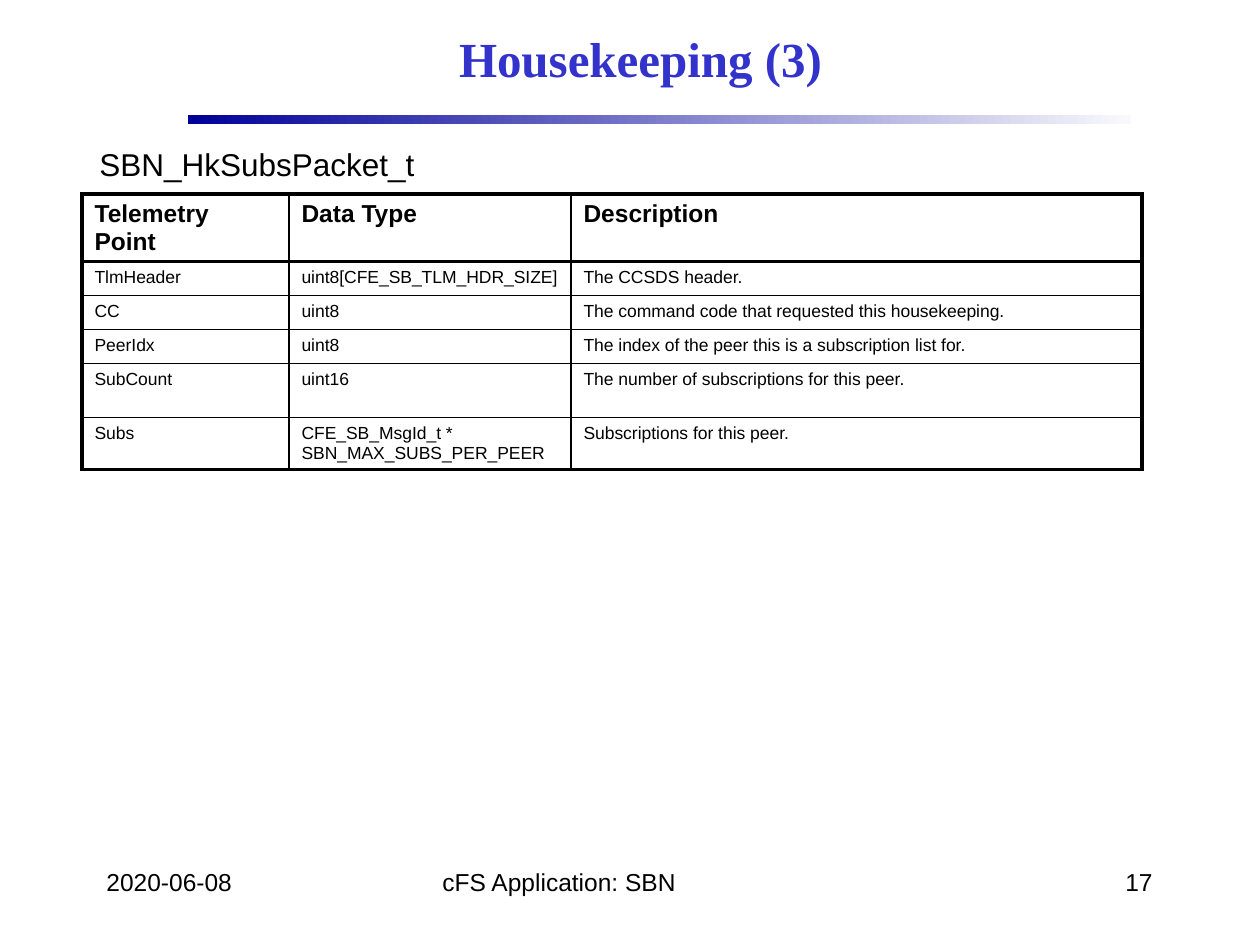
from dataclasses import dataclass

from lxml import etree
from pptx import Presentation
from pptx import util as u
from pptx.dml.color import RGBColor
from pptx.enum import shapes, text
from pptx.oxml import ns

PX = 914400 // 126


@dataclass(frozen=True)
class Theme:
    title_font: str = "Times New Roman"
    body_font: str = "Arial"
    title_color: str = "3333CC"
    ink: str = "000000"
    paper: str = "FFFFFF"
    rule_start: str = "000099"
    rule_end: str = "F9F9FD"
    title_size: int = 28
    subtitle_size: int = 18
    label_size: int = 14
    cell_size: int = 10
    thick: float = 2.25
    thin: float = 1


THEME = Theme()

COLUMNS = [207, 282, 571]
ROW_HEIGHTS = [42, 34, 34, 34, 54, 34]
ROWS = [
    ("Telemetry Point", "Data Type", "Description"),
    ("TlmHeader", "uint8[CFE_SB_TLM_HDR_SIZE]", "The CCSDS header."),
    ("CC", "uint8", "The command code that requested this housekeeping."),
    ("PeerIdx", "uint8", "The index of the peer this is a subscription list for."),
    ("SubCount", "uint16", "The number of subscriptions for this peer."),
    ("Subs", "CFE_SB_MsgId_t * SBN_MAX_SUBS_PER_PEER", "Subscriptions for this peer."),
]


def scale(box):
    return [length * PX for length in box]


def add_run(paragraph, words, size, font=THEME.body_font, color=THEME.ink, bold=False):
    run = paragraph.add_run()
    run.text = words
    run.font.name = font
    run.font.size = u.Pt(size)
    run.font.bold = bold
    run.font.color.rgb = RGBColor.from_string(color)


def add_label(slide, box, words, size, align=text.PP_ALIGN.LEFT, wrap=True):
    frame = slide.shapes.add_textbox(*scale(box)).text_frame
    frame.word_wrap = wrap
    if not wrap:
        frame.auto_size = text.MSO_AUTO_SIZE.SHAPE_TO_FIT_TEXT
    paragraph = frame.paragraphs[0]
    paragraph.alignment = align
    add_run(paragraph, words, size)


def add_header(slide, box, words):
    left, top, width, height = box
    rule = slide.shapes.add_shape(
        shapes.MSO_SHAPE.RECTANGLE, *scale((left - 1, top + 105, width + 40, 9)))
    rule.shadow.inherit = False
    rule.line.fill.background()
    rule.fill.gradient()
    rule.fill.gradient_angle = 0
    for stop, color in zip(rule.fill.gradient_stops, (THEME.rule_start, THEME.rule_end)):
        stop.color.rgb = RGBColor.from_string(color)

    title = slide.shapes.title
    title.left, title.top, title.width, title.height = scale(box)
    frame = title.text_frame
    frame.vertical_anchor = text.MSO_ANCHOR.MIDDLE
    paragraph = frame.paragraphs[0]
    paragraph.alignment = text.PP_ALIGN.CENTER
    add_run(paragraph, words, THEME.title_size, THEME.title_font, THEME.title_color, True)


def set_borders(cell, widths):
    properties = cell._tc.get_or_add_tcPr()
    for side, width in zip("LRTB", widths):
        line = etree.SubElement(properties, ns.qn(f"a:ln{side}"), w=str(u.Pt(width)))
        fill = etree.SubElement(line, ns.qn("a:solidFill"))
        etree.SubElement(fill, ns.qn("a:srgbClr"), val=THEME.ink)


def set_space_before(paragraph, percent):
    properties = paragraph._p.get_or_add_pPr()
    spacing = etree.SubElement(properties, ns.qn("a:spcBef"))
    etree.SubElement(spacing, ns.qn("a:spcPct"), val=str(percent * 1000))


def add_telemetry_table(slide, left, top):
    box = (left, top, sum(COLUMNS), sum(ROW_HEIGHTS))
    table = slide.shapes.add_table(len(ROWS), len(COLUMNS), *scale(box)).table
    table.first_row = table.horz_banding = False
    for column, width in zip(table.columns, COLUMNS):
        column.width = width * PX
    for row, height in zip(table.rows, ROW_HEIGHTS):
        row.height = height * PX

    last_row, last_column = len(ROWS) - 1, len(COLUMNS) - 1
    for i, values in enumerate(ROWS):
        for j, words in enumerate(values):
            cell = table.cell(i, j)
            heavy = (j == 0, j == last_column, i <= 1, i in (0, last_row))
            set_borders(cell, [THEME.thick if edge else THEME.thin for edge in heavy])
            cell.fill.solid()
            cell.fill.fore_color.rgb = RGBColor.from_string(THEME.paper)
            paragraph = cell.text_frame.paragraphs[0]
            set_space_before(paragraph, 35)
            size = THEME.label_size if i == 0 else THEME.cell_size
            add_run(paragraph, words, size, bold=i == 0)


def add_footer(slide, box):
    left, top, width, height = box
    side, middle = 262, 400
    parts = [
        (left, side, "2020-06-08", text.PP_ALIGN.LEFT),
        (left + 336, middle, "cFS Application: SBN", text.PP_ALIGN.LEFT),
        (left + width - side, side, "17", text.PP_ALIGN.RIGHT),
    ]
    for x, part_width, words, align in parts:
        add_label(slide, (x, top, part_width, height), words, THEME.label_size, align)


def main():
    presentation = Presentation()
    presentation.slide_width, presentation.slide_height = scale((1260, 945))
    slide = presentation.slides.add_slide(presentation.slide_layouts[5])
    add_header(slide, (189, 10, 903, 95), "Housekeeping (3)")
    add_telemetry_table(slide, 82, 194)
    add_label(slide, (87, 139, 344, 50), "SBN_HkSubsPacket_t", THEME.subtitle_size, wrap=False)
    add_footer(slide, (94, 861, 1071, 63))
    presentation.save("out.pptx")


if __name__ == "__main__":
    main()
